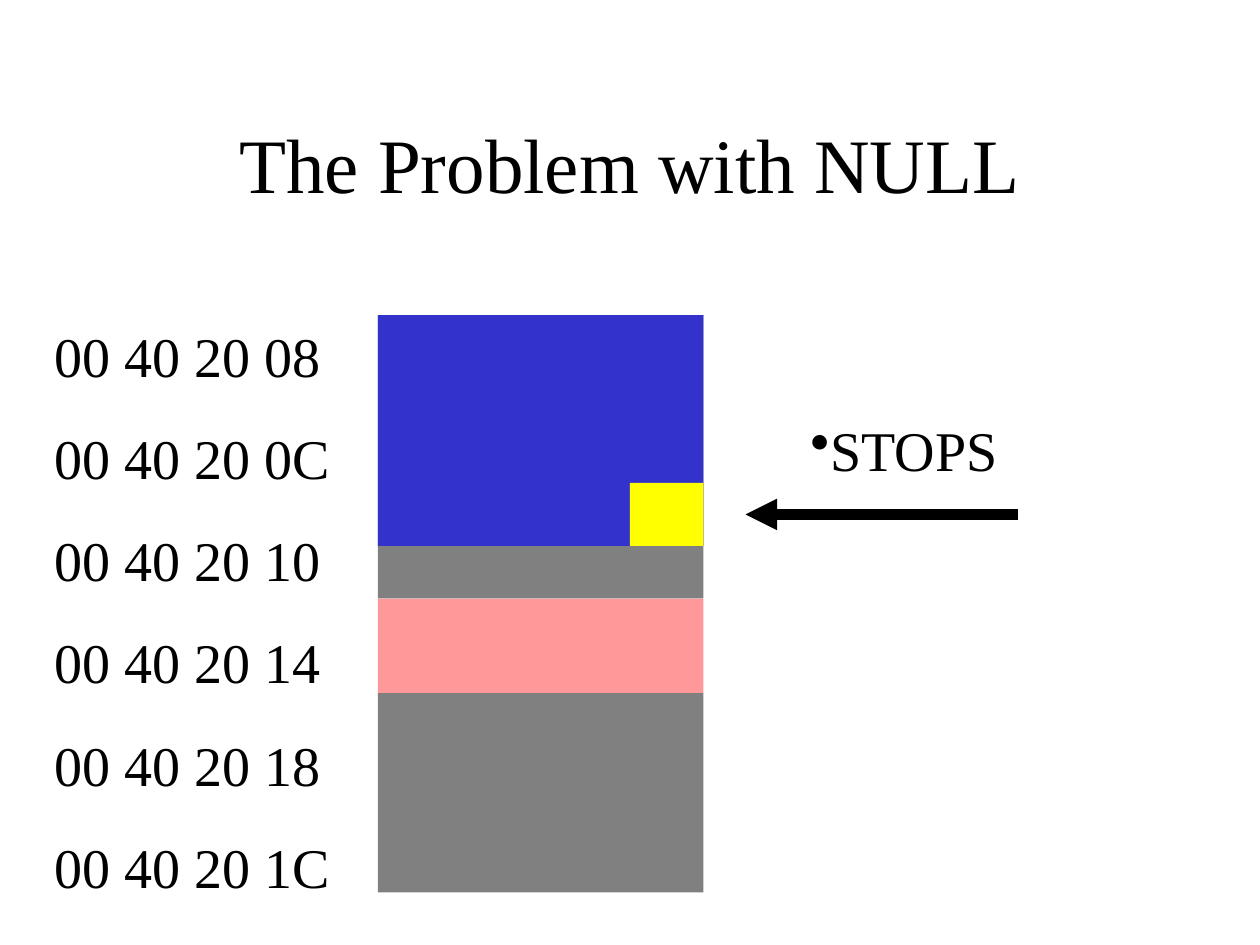
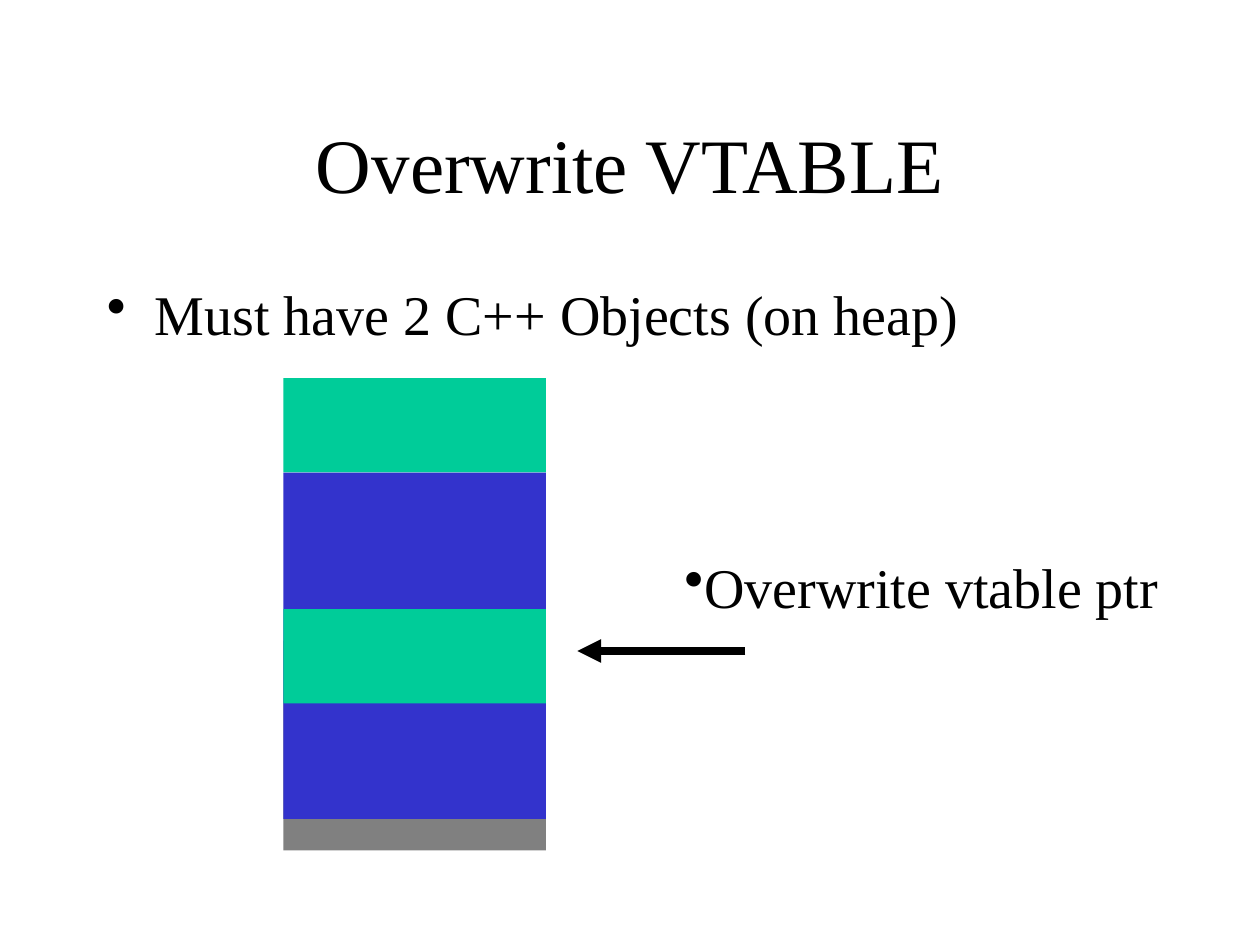
import dataclasses

import pptx
import pptx.dml.color
import pptx.enum.shapes
import pptx.enum.text
import pptx.oxml
import pptx.oxml.ns
import pptx.presentation
import pptx.slide
import pptx.util

RGBColor = pptx.dml.color.RGBColor
BLACK = RGBColor(0x00, 0x00, 0x00)
WHITE = RGBColor(0xFF, 0xFF, 0xFF)
GRAY = RGBColor(0x80, 0x80, 0x80)
PINK = RGBColor(0xFF, 0x99, 0x99)
BLUE = RGBColor(0x33, 0x33, 0xCC)
YELLOW = RGBColor(0xFF, 0xFF, 0x00)
GREEN = RGBColor(0x00, 0xCC, 0x99)

FONT = "Times New Roman"
WIDTH = pptx.util.Inches(10)
HEIGHT = pptx.util.Inches(7.5)
COLUMNS = 120
ROWS = 90
MIDDLE = pptx.enum.text.MSO_ANCHOR.MIDDLE
TOP = pptx.enum.text.MSO_ANCHOR.TOP
LEFT = pptx.enum.text.PP_ALIGN.LEFT
CENTER = pptx.enum.text.PP_ALIGN.CENTER


@dataclasses.dataclass(frozen=True)
class Area:
    column: int
    row: int
    columns: int
    rows: int

    def lengths(self) -> tuple[int, int, int, int]:
        return across(self.column), down(self.row), across(self.columns), down(self.rows)


@dataclasses.dataclass(frozen=True)
class Block:
    area: Area
    color: RGBColor


@dataclasses.dataclass(frozen=True)
class Arrow:
    start_column: int
    end_column: int
    row: int
    weight: float


TITLE_AREA = Area(9, 8, 102, 15)
BODY_AREA = Area(9, 26, 102, 54)
ADDRESS_AREA = Area(4, 30, 29, 56)
ADDRESSES = [f"00 40 20 {offset:02X}" for offset in range(0x08, 0x20, 4)]

NULL_BLOCKS = [
    Block(Area(36, 66, 31, 19), GRAY),
    Block(Area(36, 57, 31, 9), PINK),
    Block(Area(36, 30, 31, 27), GRAY),
    Block(Area(36, 30, 31, 22), BLUE),
    Block(Area(60, 46, 7, 6), YELLOW),
]
VTABLE_BLOCKS = [
    Block(Area(27, 61, 25, 20), GRAY),
    Block(Area(27, 36, 25, 9), GREEN),
    Block(Area(27, 45, 25, 33), BLUE),
    Block(Area(27, 58, 25, 9), GREEN),
]


def across(columns: int) -> int:
    return round(WIDTH * columns / COLUMNS)


def down(rows: int) -> int:
    return round(HEIGHT * rows / ROWS)


def add_text(
    slide: pptx.slide.Slide,
    area: Area,
    lines: list[str],
    *,
    size: float = 32,
    alignment: pptx.enum.text.PP_ALIGN = LEFT,
    anchor: pptx.enum.text.MSO_ANCHOR = TOP,
    space_before: float = 20,
    bullet: bool = False,
    hanging: float = 0,
) -> None:
    frame = slide.shapes.add_textbox(*area.lengths()).text_frame
    frame.word_wrap = True
    frame.vertical_anchor = anchor
    for index, line in enumerate(lines):
        paragraph = frame.paragraphs[0] if index == 0 else frame.add_paragraph()
        paragraph.alignment = alignment
        paragraph.space_before = pptx.util.Pt(space_before)
        run = paragraph.add_run()
        run.text = line
        run.font.name = FONT
        run.font.size = pptx.util.Pt(size)
        run.font.color.rgb = BLACK
        if bullet:
            properties = paragraph._p.get_or_add_pPr()
            indent = pptx.util.Inches(hanging)
            properties.set("marL", str(indent))
            properties.set("indent", str(-indent))
            namespace = pptx.oxml.ns.nsdecls("a")
            properties.append(pptx.oxml.parse_xml(f'<a:buChar {namespace} char="•"/>'))


def add_block(slide: pptx.slide.Slide, block: Block) -> None:
    rectangle = pptx.enum.shapes.MSO_SHAPE.RECTANGLE
    shape = slide.shapes.add_shape(rectangle, *block.area.lengths())
    shape.shadow.inherit = False
    shape.fill.solid()
    shape.fill.fore_color.rgb = block.color
    shape.line.fill.background()


def add_arrow(slide: pptx.slide.Slide, arrow: Arrow) -> None:
    connector = slide.shapes.add_connector(
        pptx.enum.shapes.MSO_CONNECTOR.STRAIGHT,
        across(arrow.start_column),
        down(arrow.row),
        across(arrow.end_column),
        down(arrow.row),
    )
    connector.line.color.rgb = BLACK
    connector.line.width = pptx.util.Pt(arrow.weight)
    namespace = pptx.oxml.ns.nsdecls("a")
    line = connector.line._get_or_add_ln()
    line.append(pptx.oxml.parse_xml(f'<a:tailEnd {namespace} type="triangle"/>'))
    connector._element.spPr.append(pptx.oxml.parse_xml(f"<a:effectLst {namespace}/>"))


def add_memory_slide(
    presentation: pptx.presentation.Presentation,
    title: str,
    blocks: list[Block],
    arrow: Arrow,
    note: str,
    note_area: Area,
) -> pptx.slide.Slide:
    slide = presentation.slides.add_slide(presentation.slide_layouts[6])
    slide.background.fill.solid()
    slide.background.fill.fore_color.rgb = WHITE
    add_text(slide, TITLE_AREA, [title], size=44, alignment=CENTER, anchor=MIDDLE, space_before=0)
    for block in blocks:
        add_block(slide, block)
    add_arrow(slide, arrow)
    add_text(slide, note_area, [note], bullet=True)
    return slide


def main() -> None:
    presentation = pptx.Presentation()
    presentation.slide_width = WIDTH
    presentation.slide_height = HEIGHT

    null_slide = add_memory_slide(
        presentation,
        "The Problem with NULL",
        NULL_BLOCKS,
        Arrow(97, 71, 49, 6),
        "STOPS",
        Area(76, 39, 36, 8),
    )
    add_text(null_slide, ADDRESS_AREA, ADDRESSES)

    vtable_slide = add_memory_slide(
        presentation,
        "Overwrite VTABLE",
        VTABLE_BLOCKS,
        Arrow(71, 55, 62, 4.5),
        "Overwrite vtable ptr",
        Area(64, 52, 50, 8),
    )
    add_text(
        vtable_slide,
        BODY_AREA,
        ["Must have 2 C++ Objects (on heap)"],
        space_before=8,
        bullet=True,
        hanging=0.38,
    )

    presentation.save("out.pptx")


if __name__ == "__main__":
    main()
